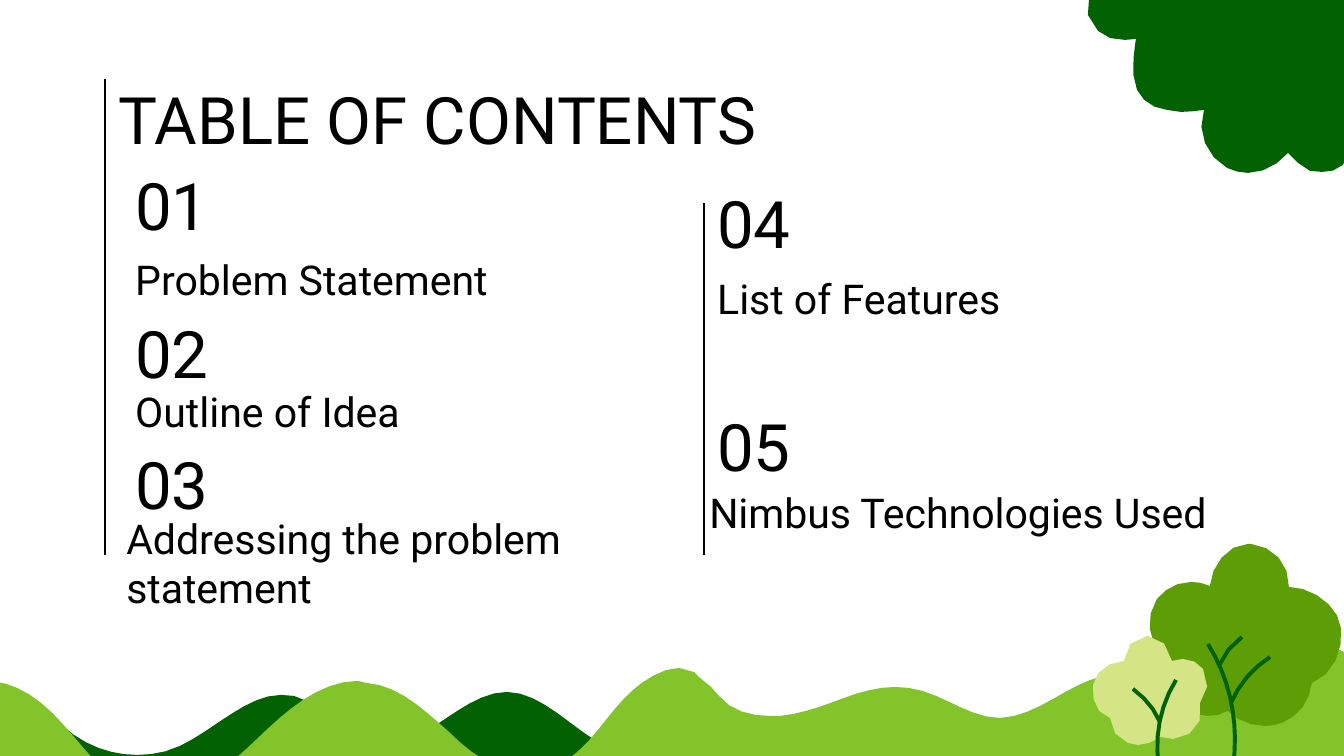
"""Build a table of contents slide framed by hills and trees."""
import math
from lxml import etree
from pptx import Presentation
from pptx import util as u
from pptx.dml.color import RGBColor
from pptx.enum import shapes, text
from pptx.oxml.ns import qn

BLACK = RGBColor(0x00, 0x00, 0x00)
DEEP = RGBColor(0x02, 0x62, 0x01)
GRASS = RGBColor(0x82, 0xC4, 0x29)
LEAF = RGBColor(0x5D, 0x9E, 0x06)
PALE = RGBColor(0xD5, 0xE4, 0x84)
FONT = "Roboto"
HEADING, BODY = 35, 22
WIDTH, HEIGHT = 1344, 756
SCALE = 9144000 / WIDTH
STEP_LENGTH = 14
TOP, MIDDLE, BOTTOM = (text.MSO_ANCHOR.TOP, text.MSO_ANCHOR.MIDDLE,
                       text.MSO_ANCHOR.BOTTOM)

TITLE = ("TABLE OF CONTENTS", (105, 66, 1134, 85), HEADING, TOP)
NUMBERS = [("02", 122, 317), ("03", 122, 448), ("04", 704, 187), ("05", 704, 410)]
TOPICS = [
    ("Addressing the problem statement", 113, 555),
    ("Outline of Idea", 122, 379),
    ("List of Features", 704, 266),
    ("Nimbus Technologies Used", 696, 480),
]
FIRST_ENTRY = [
    ("01", (122, 152, 441, 106), HEADING, TOP),
    ("Problem Statement", (122, 241, 441, 77), BODY, TOP),
]
RULES = [(105, 79, 555), (704, 203, 555)]

BACK_HILL = [
    (507, 692), (464, 692, 426, 746, 384, 746), (375, 745),
    (347, 739, 323, 704, 294, 696), (281, 695),
    (247, 695, 214, 730, 180, 746), (165, 753, 151, 755, 137, 755),
    (116, 755, 94, 749, 74, 735), (59, 724, 46, 710, 30, 704),
    (23, 700, 15, 699, 8, 699), (-19, 699, -46, 716, -71, 731),
    (-93, 743, -114, 754, -136, 754), (-149, 754, -161, 750, -173, 741),
    (-173, 810), (633, 796), (633, 755), (590, 753, 551, 692, 507, 692),
]
RIGHT_HILL = [
    (1324, 648), (1333, 648, 1343, 649, 1351, 655),
    (1392, 683, 1433, 747, 1442, 770), (1453, 794, 1438, 883, 1434, 909),
    (664, 909), (668, 671), (676, 669),
    (692, 669, 710, 684, 719, 696), (731, 711, 751, 716, 770, 716),
    (780, 716), (801, 714, 823, 706, 844, 698),
    (860, 692, 878, 687, 895, 687), (909, 688),
    (941, 692, 968, 718, 1000, 718), (1043, 716, 1075, 675, 1116, 675),
    (1120, 675), (1146, 677, 1168, 698, 1193, 703),
    (1200, 704, 1206, 706, 1211, 706), (1238, 706, 1261, 691, 1277, 668),
    (1288, 656, 1306, 648, 1324, 648),
]
LEFT_HILL = [
    (679, 668), (671, 668, 661, 671, 653, 676), (630, 688, 614, 710, 598, 730),
    (582, 750, 562, 769, 535, 773), (527, 773),
    (497, 773, 470, 753, 449, 732), (425, 711, 399, 685, 366, 683),
    (358, 681), (319, 681, 285, 712, 257, 739),
    (230, 765, 198, 793, 160, 793), (146, 792),
    (91, 782, 70, 711, 17, 688), (7, 683, -5, 681, -19, 681),
    (-44, 681, -71, 691, -93, 707), (-124, 728, -195, 805, -210, 840),
    (-224, 915), (708, 922), (708, 687), (700, 673, 689, 668, 679, 668),
]
CANOPY = [
    (1248, 173), (1241, 173, 1233, 171, 1227, 168),
    (1207, 157, 1196, 132, 1204, 110), (1196, 111, 1189, 112, 1181, 112),
    (1167, 110), (1154, 109, 1142, 101, 1137, 90),
    (1129, 74, 1136, 39, 1136, 39), (1125, 40),
    (1114, 40, 1105, 38, 1098, 31), (1087, 23, 1085, 7, 1089, -1),
    (1348, -1), (1349, 140), (1349, 140, 1351, 159, 1343, 165),
    (1337, 171, 1329, 172, 1322, 172), (1310, 171),
    (1302, 167, 1294, 160, 1288, 153), (1278, 165, 1263, 173, 1248, 173),
]
BIG_CROWN = [
    (1248, 544), (1228, 544, 1211, 566, 1210, 586),
    (1203, 583, 1198, 582, 1191, 582), (1177, 582, 1165, 589, 1157, 599),
    (1145, 617, 1148, 642, 1163, 656), (1152, 688, 1177, 716, 1207, 716),
    (1214, 716, 1222, 715, 1228, 711), (1236, 720, 1251, 726, 1265, 726),
    (1271, 726, 1277, 725, 1282, 723), (1300, 716, 1310, 700, 1312, 683),
    (1333, 676, 1344, 649, 1341, 628), (1339, 606, 1312, 587, 1289, 587),
    (1290, 564, 1273, 546, 1251, 544),
]
BIG_BRANCHES = [
    [(1233, 767), (1239, 724, 1231, 681, 1208, 644)],
    [(1231, 703), (1239, 684, 1253, 668, 1270, 657)],
    [(1220, 664), (1224, 653, 1232, 645, 1242, 637)],
]
SMALL_CROWN = [
    (1148, 636), (1160, 636, 1171, 648, 1172, 661),
    (1183, 659), (1191, 659, 1199, 663, 1203, 669),
    (1210, 679, 1208, 695, 1200, 703), (1206, 722, 1191, 739, 1173, 739),
    (1160, 737), (1154, 742, 1146, 745, 1138, 745),
    (1128, 743), (1118, 739, 1110, 730, 1110, 718),
    (1097, 715, 1091, 699, 1093, 685), (1094, 672, 1110, 661, 1124, 661),
    (1124, 648, 1133, 637, 1147, 636),
]
SMALL_BRANCHES = [
    [(1159, 767), (1154, 737, 1160, 706, 1176, 680)],
    [(1160, 722), (1154, 708, 1145, 698, 1133, 689)],
]


def px(value):
    return u.Emu(round(value * SCALE))


def flatten(outline):
    points = [outline[0]]
    for segment in outline[1:]:
        if len(segment) == 2:
            points.append(segment)
            continue
        start = points[-1]
        steps = max(2, round(math.dist(start, segment[4:]) / STEP_LENGTH))
        for step in range(1, steps + 1):
            t = step / steps
            weights = ((1 - t) ** 3, 3 * t * (1 - t) ** 2, 3 * t * t * (1 - t), t ** 3)
            points.append(tuple(
                sum(w * v for w, v in zip(weights, (start[axis], *segment[axis::2])))
                for axis in (0, 1)))
    return [(px(x), px(y)) for x, y in points]


def add_outline(outline, color, stroke=None):
    start, *rest = flatten(outline)
    builder = slide.shapes.build_freeform(*start)
    builder.add_line_segments(rest, close=stroke is None)
    form = builder.convert_to_shape()
    form.shadow.inherit = False
    if stroke:
        form.fill.background()
        form.line.color.rgb = color
        form.line.width = u.Pt(stroke)
    else:
        form.fill.solid()
        form.fill.fore_color.rgb = color
        form.line.fill.background()


def add_text(words, box, size=BODY, anchor=TOP, color=BLACK):
    frame = slide.shapes.add_textbox(*map(px, box)).text_frame
    frame.word_wrap = True
    frame.vertical_anchor = anchor
    frame.margin_left = frame.margin_right = u.Inches(0.1)
    frame.margin_top = frame.margin_bottom = u.Inches(0.1)
    run = frame.paragraphs[0].add_run()
    run.text = words
    run.font.name = FONT
    run.font.size = u.Pt(size)
    run.font.color.rgb = color


deck = Presentation()
deck.slide_width, deck.slide_height = px(WIDTH), px(HEIGHT)
slide = deck.slides.add_slide(deck.slide_layouts[6])

for scenery, color in [(BACK_HILL, DEEP), (RIGHT_HILL, GRASS),
                       (LEFT_HILL, GRASS), (CANOPY, DEEP)]:
    add_outline(scenery, color)

add_text(*TITLE)
for number, left, top in NUMBERS:
    add_text(number, (left, top, 108, 70), HEADING, MIDDLE)
for topic, left, top in TOPICS:
    add_text(topic, (left, top, 535, 70), BODY, BOTTOM)

for x, top, bottom in RULES:
    rule = slide.shapes.add_connector(
        shapes.MSO_CONNECTOR.STRAIGHT, px(x), px(top), px(x), px(bottom))
    rule.line.color.rgb = BLACK
    rule.line.width = u.Pt(0.75)
    etree.SubElement(rule._element.spPr, qn("a:effectLst"))

for crown, color, branches in [(BIG_CROWN, LEAF, BIG_BRANCHES),
                               (SMALL_CROWN, PALE, SMALL_BRANCHES)]:
    add_outline(crown, color)
    for branch in branches:
        add_outline(branch, DEEP, stroke=2.1)

for entry in FIRST_ENTRY:
    add_text(*entry)

deck.save("out.pptx")
